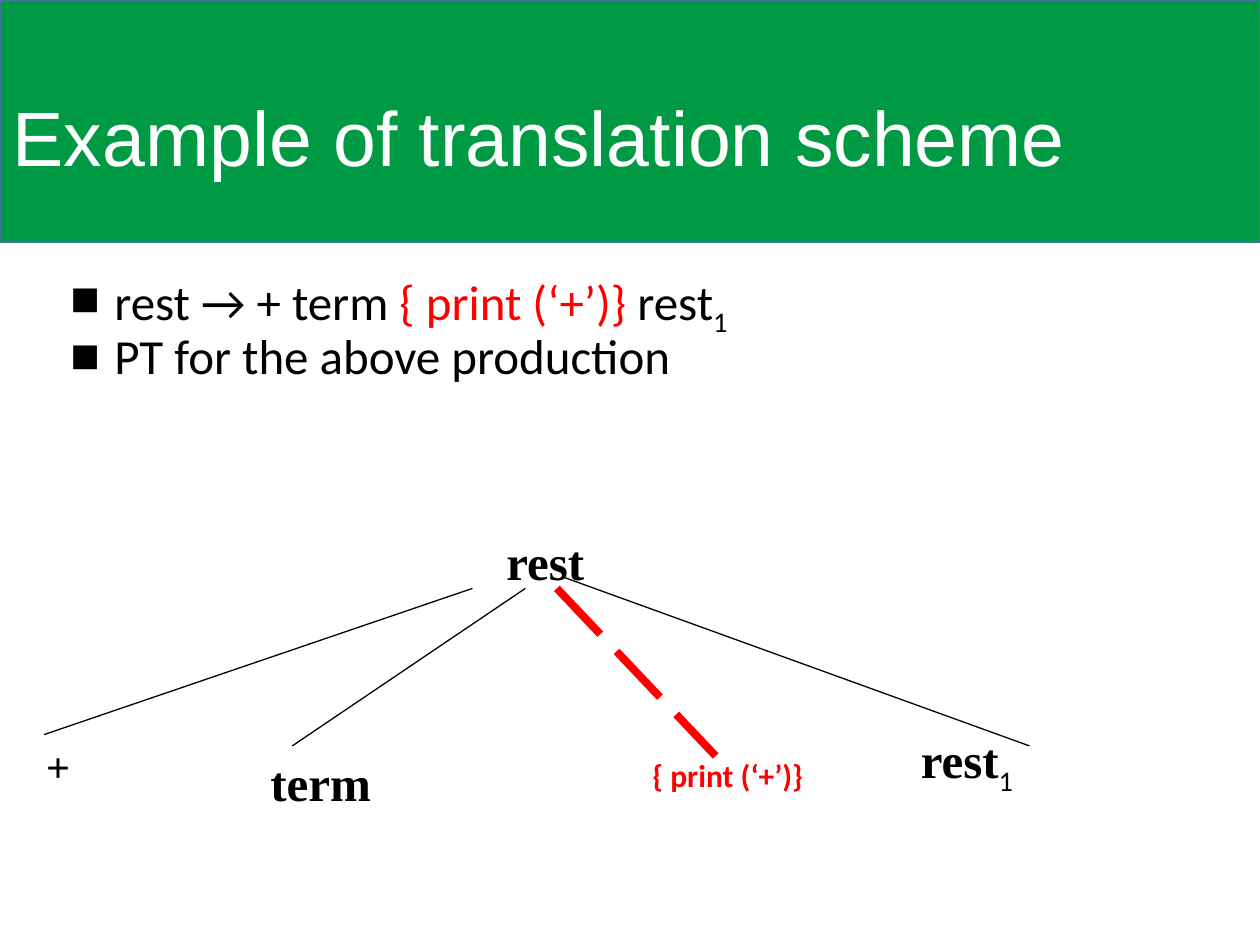
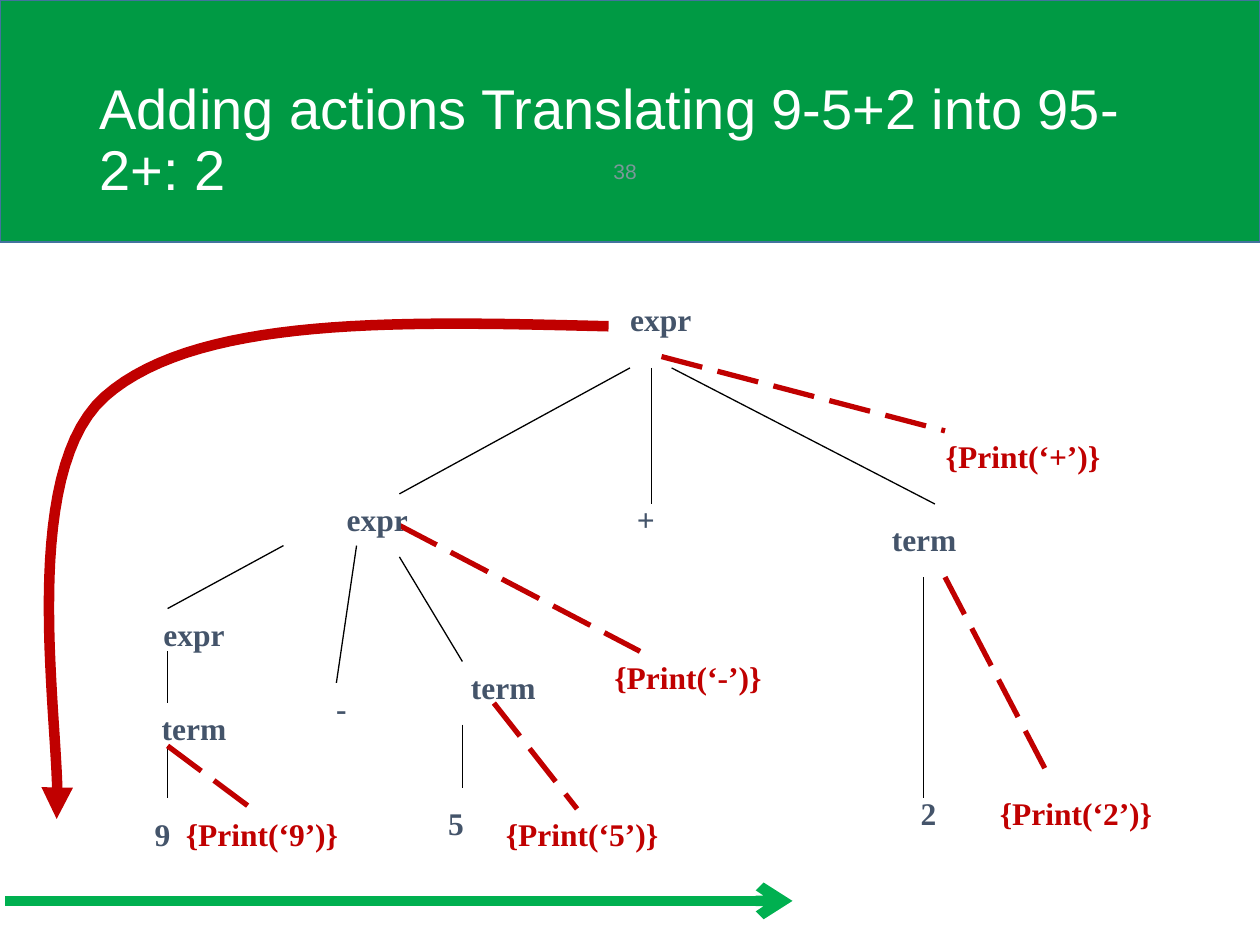
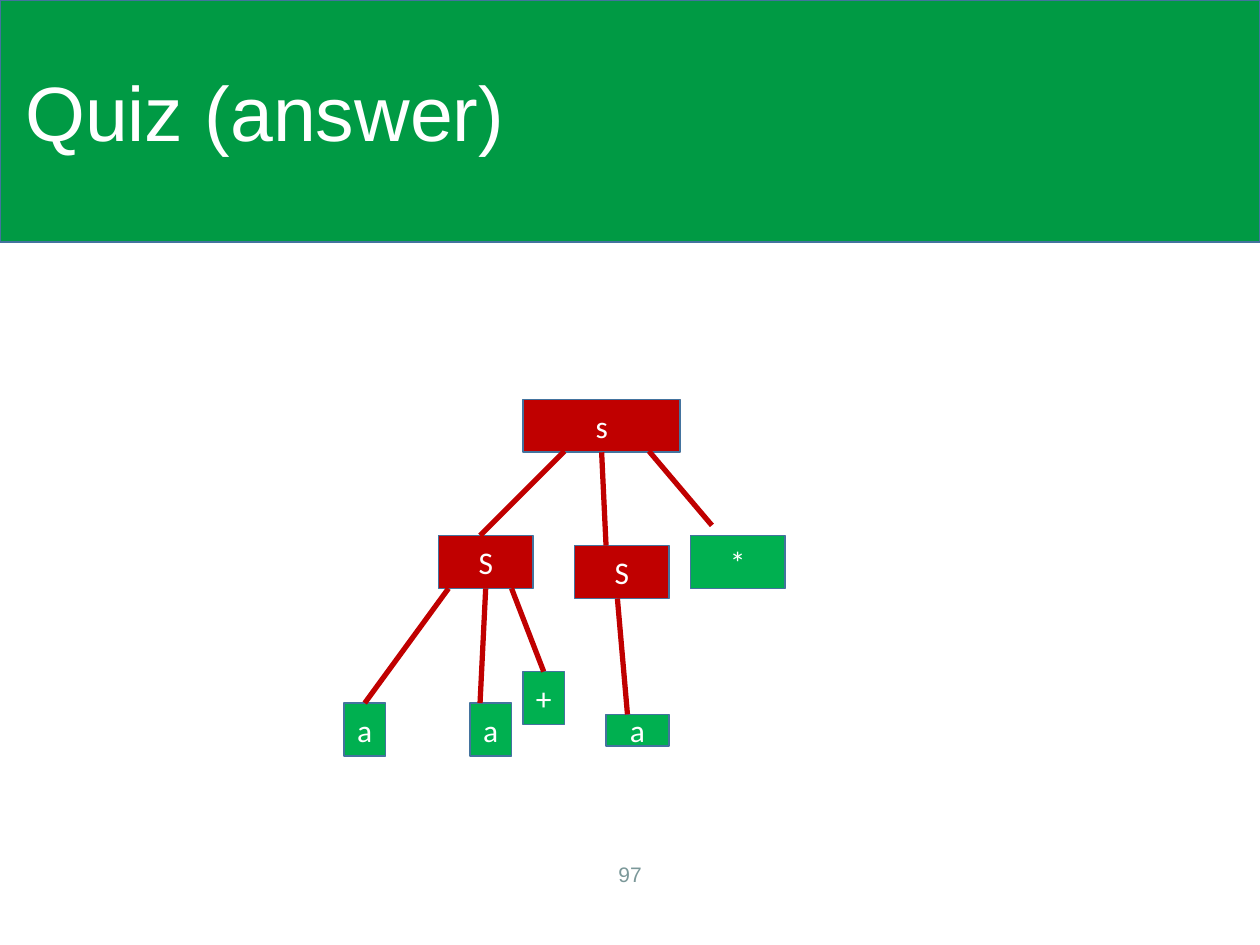
import pptx
import pptx.util
import pptx.dml.color
import pptx.enum.dml
import pptx.enum.shapes
import pptx.enum.text
import pptx.oxml.ns
from dataclasses import dataclass
from lxml import etree

Inches, Pt = pptx.util.Inches, pptx.util.Pt
RGB = pptx.dml.color.RGBColor.from_string
Align = pptx.enum.text.PP_ALIGN
Anchor = pptx.enum.text.MSO_ANCHOR
Fit = pptx.enum.text.MSO_AUTO_SIZE
RECT = pptx.enum.shapes.MSO_SHAPE.RECTANGLE
STRAIGHT = pptx.enum.shapes.MSO_CONNECTOR.STRAIGHT
qn = pptx.oxml.ns.qn


@dataclass
class Theme:
    band: str = "009A44"
    edge: str = "43739E"
    white: str = "FFFFFF"
    black: str = "000000"
    slate: str = "44546A"
    gray: str = "7B9899"
    red: str = "FF0000"
    dark: str = "C00000"
    green: str = "00B050"
    head: str = "Arial"
    body: str = "Calibri"
    serif: str = "Times New Roman"
    large: int = 28
    mid: int = 24
    small: int = 18
    tiny: int = 12


theme = Theme()


def write(frame, lines, size, font, color, bold=False, align=Align.LEFT, ratio=None):
    """Fill a frame; each line is a list of (text, changes) runs."""
    for i, line in enumerate(lines):
        para = frame.paragraphs[0] if i == 0 else frame.add_paragraph()
        para.alignment = align
        if ratio:
            para.line_spacing = ratio
        for text, diff in line:
            run = para.add_run()
            run.text = text
            run.font.size = Pt(size)
            run.font.name = diff.get("font", font)
            run.font.bold = diff.get("bold", bold)
            run.font.color.rgb = RGB(diff.get("color", color))
            if "base" in diff:
                run.font._element.set("baseline", str(diff["base"]))


def link(slide, ends, color, width, dash=False, tip=None):
    """Draw a straight line through (x1, y1, x2, y2)."""
    line = slide.shapes.add_connector(STRAIGHT, *map(Inches, ends))
    line.line.color.rgb = RGB(color)
    line.line.width = Pt(width)
    if dash:
        line.line.dash_style = pptx.enum.dml.MSO_LINE.LONG_DASH
    if tip:
        etree.SubElement(line.line._get_or_add_ln(), qn("a:tailEnd"), type=tip)
    etree.SubElement(line._element.spPr, qn("a:effectLst"))
    return line


deck = pptx.Presentation()
deck.slide_width, deck.slide_height = Inches(10), Inches(7.5)
layout = deck.slide_layouts[5]

# Titles: text, box, size
heads = [
    ("Example of translation scheme", (0, 0.4, 9.31, 1.45), 44),
    ("Adding actions Translating 9-5+2 into 95-2+: 2", (0.69, 0.4, 8.62, 1.45), 32),
    ("Quiz (answer)", (0.1, 0.2, 8.62, 1.45), 44),
]
for text, box, size in heads:
    title = deck.slides.add_slide(layout).shapes.title
    title.left, title.top, title.width, title.height = map(Inches, box)
    frame = title.text_frame
    frame.auto_size = Fit.NONE
    frame.vertical_anchor = Anchor.MIDDLE
    write(frame, [[(text, {})]], size, theme.head, theme.white, ratio=0.9)
scheme, tree, quiz = deck.slides

# The band belongs to the layout, behind every title
band = scheme.shapes.add_shape(RECT, 0, 0, Inches(10), Inches(1.92))
band.shadow.inherit = False
band.fill.solid()
band.fill.fore_color.rgb = RGB(theme.band)
band.line.color.rgb = RGB(theme.edge)
band.line.width = Pt(1)
band._element.nvSpPr.cNvPr.set("id", "20")
layout.shapes.element.insert(2, band.element)

# Page numbers
for slide, text, left, top in [(tree, "38", 4.77, 1.12), (quiz, "97", 4.81, 6.7)]:
    note = slide.shapes.add_textbox(*map(Inches, (left, top, 0.5, 0.48)))
    note.text_frame.word_wrap = True
    note.text_frame.vertical_anchor = Anchor.MIDDLE
    write(note.text_frame, [[(text, {})]], theme.tiny, theme.head, theme.gray)

# Slide 1: production rule and its parse tree
body = scheme.shapes.add_textbox(*map(Inches, (0.33, 2.11, 9.5, 4.56))).text_frame
body.word_wrap = True
write(body, [
    [("rest → + term ", {}), ("{ print (‘+’)} ", {"color": theme.red}),
     ("rest", {}), ("1", {"base": -25000})],
    [("PT for the above production", {})],
], theme.large, theme.body, theme.black, ratio=0.9)
for para in body.paragraphs:
    props = para._p.get_or_add_pPr()
    props.set("marL", str(Inches(0.48)))
    props.set("indent", str(Inches(-0.35)))
    etree.SubElement(props, qn("a:buFont"), typeface=theme.head)
    etree.SubElement(props, qn("a:buChar"), char="■")

for ends in [(3.75, 4.67, 0.35, 5.83), (4.17, 4.67, 2.32, 5.92), (4.47, 4.58, 8.17, 5.92)]:
    link(scheme, ends, theme.black, 0.75)
link(scheme, (4.42, 4.67, 5.68, 6), theme.red, 4.5, dash=True)

sub = {"font": theme.body, "bold": False, "base": -25000}
nodes = [
    ([("+", {})], (0, 5.83, 0.92, 0.5), theme.mid, Align.CENTER),
    ([("term", {})], (1.67, 5.92, 1.75, 0.57), theme.large, Align.CENTER),
    ([("rest", {})], (3.92, 4.17, 1.75, 0.57), theme.large, Align.LEFT),
    ([("rest", {}), ("1", sub)], (7.08, 5.75, 1.75, 0.53), theme.large, Align.LEFT),
    ([("{ print (‘+’)}", {"font": theme.body, "color": theme.red})],
     (5.08, 5.95, 1.47, 0.4), theme.small, Align.LEFT),
]
for runs, box, size, align in nodes:
    frame = scheme.shapes.add_textbox(*map(Inches, box)).text_frame
    frame.word_wrap = not runs[0][0].startswith("{")
    frame.auto_size = Fit.SHAPE_TO_FIT_TEXT
    ratio = 0.9 if len(runs) > 1 else None
    if ratio:
        frame.paragraphs[0]._p.get_or_add_pPr().set("marL", str(Inches(0.13)))
    write(frame, [runs], size, theme.serif, theme.black, True, align, ratio)

# Slide 2: annotated parse tree
for ends in [
    (5, 2.92, 3.17, 3.92), (5.17, 2.92, 5.17, 4), (5.33, 2.92, 7.42, 4),
    (3.17, 4.42, 3.67, 5.25), (3.67, 5.75, 3.67, 6.25), (2.83, 4.33, 2.67, 5.42),
    (2.25, 4.33, 1.33, 4.83), (1.33, 5.17, 1.33, 5.58), (1.33, 5.92, 1.33, 6.33),
    (7.33, 4.58, 7.33, 6.33),
]:
    link(tree, ends, theme.black, 0.75)
for ends in [
    (7.5, 4.58, 8.33, 6.17), (5.25, 2.83, 7.5, 3.42), (3.17, 4.17, 5.08, 5.17),
    (3.92, 5.58, 4.58, 6.42), (1.33, 5.92, 2, 6.42),
]:
    link(tree, ends, theme.dark, 3, dash=True)

# Labels: text, left, top, width
for text, left, top, width in [
    ("expr", 3.83, 2.33, 2.83), ("term", 5.92, 4.08, 2.83), ("expr", 1.58, 3.92, 2.83),
    ("term", 2.58, 5.25, 2.83), ("2", 6.08, 6.25, 2.58), ("+", 4.25, 3.92, 1.75),
    ("5", 3.08, 6.33, 1.08), ("-", 1.92, 5.42, 1.58), ("9", 0.5, 6.42, 1.58),
    ("expr", 0.75, 4.83, 1.58), ("term", 0.75, 5.58, 1.58),
    ("{Print(‘5’)}", 3.83, 6.42, 1.58), ("{Print(‘2’)}", 7.75, 6.25, 1.58),
    ("{Print(‘+’)}", 7.33, 3.42, 1.58), ("{Print(‘9’)}", 1.33, 6.42, 1.5),
    ("{Print(‘-’)}", 4.67, 5.17, 1.58),
]:
    frame = tree.shapes.add_textbox(*map(Inches, (left, top, width, 0.4))).text_frame
    frame.word_wrap = True
    frame.auto_size = Fit.SHAPE_TO_FIT_TEXT
    color = theme.dark if text.startswith("{") else theme.slate
    write(frame, [[(text, {})]], theme.small, theme.serif, color, True, Align.CENTER)

# Curved arrow: two cubic curves, each drawn in short steps
steps = 30
curves = [
    [(4.83, 2.59), (3.2, 2.55), (1.56, 2.5), (0.83, 3.15)],
    [(0.83, 3.15), (0.1, 3.8), (0.51, 5.94), (0.45, 6.5)],
]
dots = []
for curve in curves:
    for i in range(1, steps + 1):
        t = i / steps
        parts = ((1 - t) ** 3, 3 * t * (1 - t) ** 2, 3 * t * t * (1 - t), t ** 3)
        dots.append([Inches(sum(w * p[k] for w, p in zip(parts, curve))) for k in (0, 1)])
pen = tree.shapes.build_freeform(*map(Inches, curves[0][0]))
pen.add_line_segments(dots, close=False)
arc = pen.convert_to_shape()
arc.shadow.inherit = False
arc.fill.background()
arc.line.color.rgb = RGB(theme.dark)
arc.line.width = Pt(6)
etree.SubElement(arc.line._get_or_add_ln(), qn("a:tailEnd"), type="triangle")
link(tree, (0.04, 7.15, 6.29, 7.15), theme.green, 6, tip="arrow")

# Slide 3: answer tree; boxes are text, box, fill
boxes = []
for text, box, fill in [
    ("s", (4.15, 3.17, 1.25, 0.42), theme.dark),
    ("S", (3.48, 4.25, 0.75, 0.42), theme.dark),
    ("S", (4.56, 4.33, 0.75, 0.42), theme.dark),
    ("*", (5.48, 4.25, 0.75, 0.42), theme.green),
    ("a", (4.81, 5.67, 0.5, 0.25), theme.green),
    ("+", (4.15, 5.33, 0.33, 0.42), theme.green),
    ("a", (3.73, 5.58, 0.33, 0.42), theme.green),
    ("a", (2.73, 5.58, 0.33, 0.42), theme.green),
]:
    node = quiz.shapes.add_shape(RECT, *map(Inches, box))
    node.shadow.inherit = False
    node.fill.solid()
    node.fill.fore_color.rgb = RGB(fill)
    node.line.color.rgb = RGB(theme.edge)
    node.line.width = Pt(1)
    node.text_frame.vertical_anchor = Anchor.MIDDLE
    write(node.text_frame, [[(text, {})]], theme.small, theme.body, theme.white,
          align=Align.CENTER)
    boxes.append(node)

# Branches: parent, child, ends; an end at a side's middle is joined
near = Inches(0.02)
for top, low, ends in [
    (0, 1, (4.48, 3.58, 3.81, 4.25)), (0, 2, (4.77, 3.58, 4.81, 4.33)),
    (0, 3, (5.15, 3.58, 5.65, 4.17)), (1, 7, (3.56, 4.67, 2.9, 5.58)),
    (1, 6, (3.85, 4.67, 3.81, 5.58)), (2, 4, (4.9, 4.75, 4.98, 5.67)),
    (1, 5, (4.06, 4.67, 4.31, 5.33)),
]:
    line = link(quiz, ends, theme.dark, 3)
    up, down = boxes[top], boxes[low]
    if abs(line.begin_x - up.left - up.width // 2) < near:
        line.begin_connect(up, 2)
    if abs(line.end_x - down.left - down.width // 2) < near:
        line.end_connect(down, 0)

deck.save("out.pptx")
